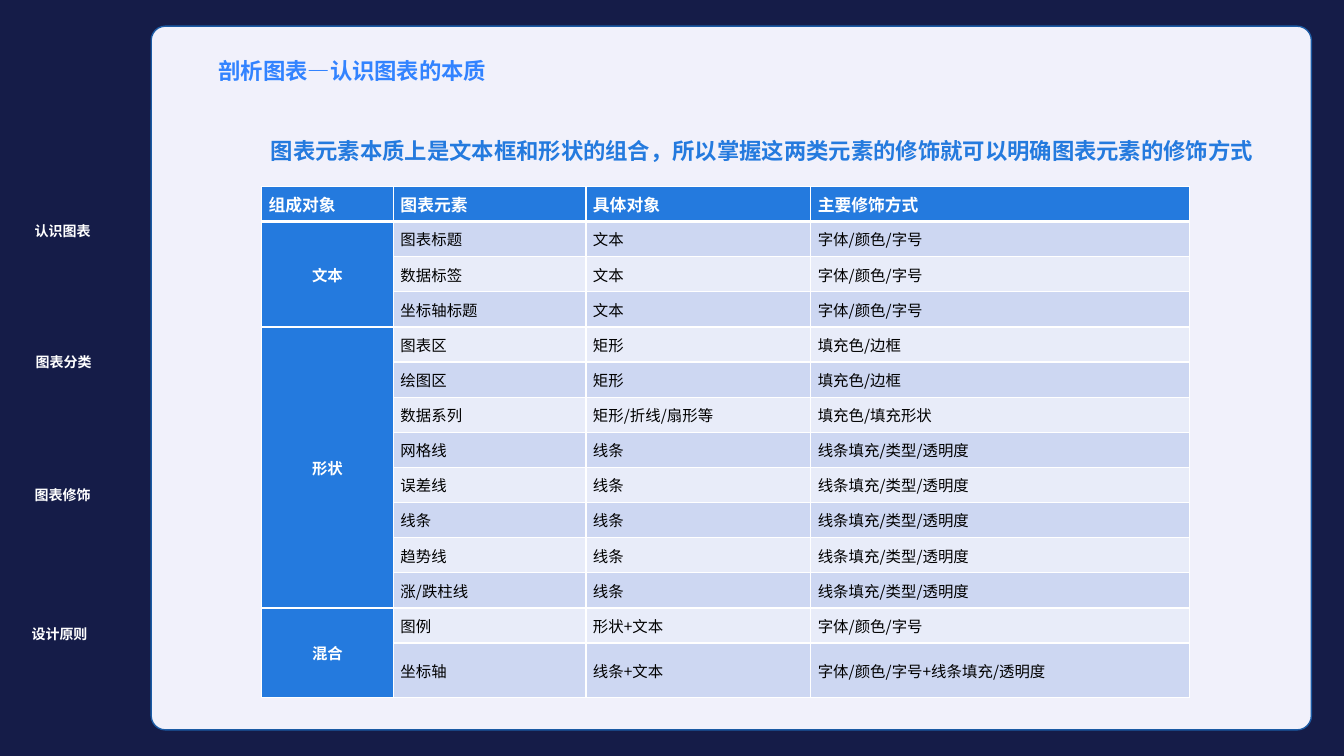
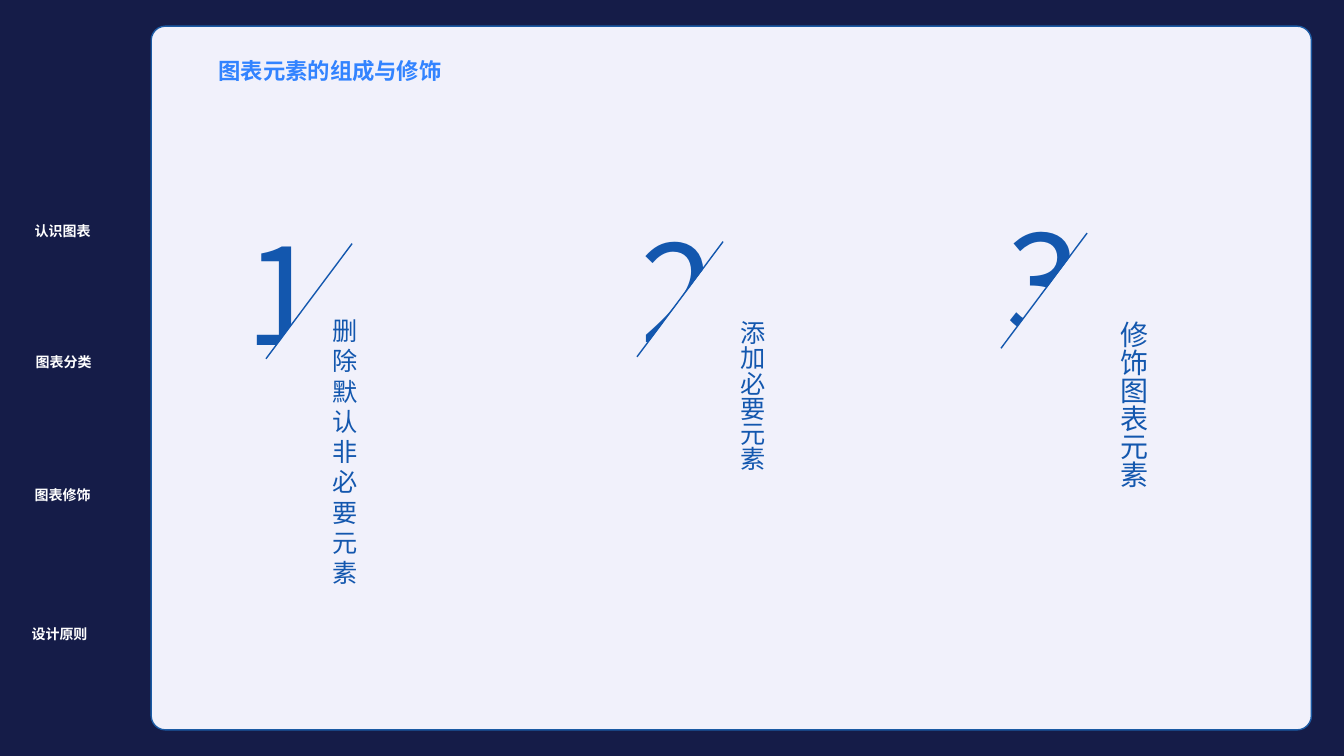
from lxml import etree
from pptx import Presentation
from pptx.dml.color import RGBColor
from pptx.enum.shapes import MSO_CONNECTOR, MSO_SHAPE
from pptx.enum.text import MSO_ANCHOR, MSO_AUTO_SIZE, PP_ALIGN
from pptx.oxml.ns import qn
from pptx.util import Pt

STRAIGHT = MSO_CONNECTOR.STRAIGHT
RECT, ROUND_RECT = MSO_SHAPE.RECTANGLE, MSO_SHAPE.ROUNDED_RECTANGLE
MIDDLE = MSO_ANCHOR.MIDDLE
LEFT, CENTER = PP_ALIGN.LEFT, PP_ALIGN.CENTER
FIT_SHAPE = MSO_AUTO_SIZE.SHAPE_TO_FIT_TEXT

NAVY = RGBColor(0x15, 0x1C, 0x48)
PANEL = RGBColor(0xF1, 0xF1, 0xFB)
PANEL_EDGE = RGBColor(0x1B, 0x5A, 0xA4)
TITLE_BLUE = RGBColor(0x32, 0x83, 0xFF)
TABLE_BLUE = RGBColor(0x24, 0x7A, 0xDE)
STEP_BLUE = RGBColor(0x13, 0x57, 0xAE)
BAND_DARK = RGBColor(0xCD, 0xD7, 0xF2)
BAND_LIGHT = RGBColor(0xE8, 0xEC, 0xF9)
WHITE = RGBColor(0xFF, 0xFF, 0xFF)
BLACK = RGBColor(0, 0, 0)
CJK_FONT = "Noto Sans CJK SC"
TITLE_FONT = "Arial"

# Side labels: text, left, top
NAV = [
    ("认识图表", 16.6, 155.5),
    ("图表分类", 17.3, 249.1),
    ("图表修饰", 16.6, 344.2),
    ("设计原则", 14.4, 443.5),
]

ANATOMY_TITLE = "剖析图表—认识图表的本质"
SUMMARY = "图表元素本质上是文本框和形状的组合，所以掌握这两类元素的修饰就可以明确图表元素的修饰方式"
HEADER = ("组成对象", "图表元素", "具体对象", "主要修饰方式")
TEXT_STYLE = "字体/颜色/字号"
LINE_STYLE = "线条填充/类型/透明度"
GROUPS = [
    ("文本", [
        ("图表标题", "文本", TEXT_STYLE),
        ("数据标签", "文本", TEXT_STYLE),
        ("坐标轴标题", "文本", TEXT_STYLE),
    ]),
    ("形状", [
        ("图表区", "矩形", "填充色/边框"),
        ("绘图区", "矩形", "填充色/边框"),
        ("数据系列", "矩形/折线/扇形等", "填充色/填充形状"),
        ("网格线", "线条", LINE_STYLE),
        ("误差线", "线条", LINE_STYLE),
        ("线条", "线条", LINE_STYLE),
        ("趋势线", "线条", LINE_STYLE),
        ("涨/跌柱线", "线条", LINE_STYLE),
    ]),
    ("混合", [
        ("图例", "形状+文本", TEXT_STYLE),
        ("坐标轴", "线条+文本", "字体/颜色/字号+线条填充/透明度"),
    ]),
]
COL_WIDTHS = (94.3, 137.5, 160.6, 270.7)
ROW_HEIGHT, LAST_ROW_HEIGHT = 25.1, 38.9

STEPS_TITLE = "图表元素的组成与修饰"
# Each step: digit box, mask and slash start as (left, top); caption as a box
STEPS = [
    dict(digit=(132.5, 146.9), mask=(161.3, 213.8), slash=(190, 256.3),
         lines=list("删除默认非必要元素"), caption=(230.4, 221.8, 43.2, 203.8),
         size=18, vertical=False),
    dict(digit=(414, 145.4), mask=(442.1, 191.5), slash=(455, 254.9),
         lines=["添加必要元素"], caption=(515.5, 221.8, 36, 116.6),
         size=18, vertical=True),
    dict(digit=(675.4, 138.2), mask=(701.3, 186.5), slash=(715, 248.8),
         lines=["修饰图表元素"], caption=(786.2, 221.8, 38.9, 128.2),
         size=20, vertical=True),
]
MASK_SIZE = (157, 70.6)
MASK_ANGLE = 307
SLASH_WIDTH, SLASH_HEIGHT = 61.5, 82.3
DIGIT_INDENT = 36


def pts(values):
    return [Pt(v) for v in values]


def style(p, size, color, bold=False, font=CJK_FONT, align=LEFT):
    p.alignment = align
    f = p.font
    f.size, f.bold, f.name = Pt(size), bold, font
    f.color.rgb = color
    ea = etree.SubElement(p._p.pPr.find(qn("a:defRPr")), qn("a:ea"))
    ea.set("typeface", CJK_FONT)


def add_text(s, box, lines, size, color, spacing=None, **font):
    tf = s.shapes.add_textbox(*pts(box)).text_frame
    tf.word_wrap = True
    tf.auto_size = FIT_SHAPE
    for i, line in enumerate(lines):
        p = tf.add_paragraph() if i else tf.paragraphs[0]
        p.text = line
        if spacing:
            p.line_spacing = spacing
        style(p, size, color, **font)
    return tf


def add_box(s, kind, box, fill):
    sp = s.shapes.add_shape(kind, *pts(box))
    sp.shadow.inherit = False
    sp.fill.solid()
    sp.fill.fore_color.rgb = fill
    sp.line.fill.background()
    return sp


def add_base_slide(prs, title):
    """Add a slide with the panel, side labels and title that all slides share."""
    s = prs.slides.add_slide(prs.slide_layouts[6])
    s.background.fill.solid()
    s.background.fill.fore_color.rgb = NAVY
    panel = add_box(s, ROUND_RECT, (108, 18.7, 828.7, 502.6), PANEL)
    panel.adjustments[0] = 0.02
    panel.line.color.rgb = PANEL_EDGE
    panel.line.width = Pt(1)
    for label, left, top in NAV:
        add_text(s, (left, top, 56.2, 19.4), [label], 10, WHITE,
                 bold=True, align=CENTER)
    tf = add_text(s, (149, 28.1, 693.4, 34.6), [title], 16, TITLE_BLUE,
                  spacing=1.5, bold=True, font=TITLE_FONT)
    tf.auto_size = MSO_AUTO_SIZE.NONE
    tf.vertical_anchor = MIDDLE
    return s


def set_borders(cell, bottom):
    tc_pr = cell._tc.get_or_add_tcPr()
    for side, width in (("L", 1), ("R", 1), ("T", 1), ("B", bottom)):
        ln = etree.SubElement(tc_pr, qn(f"a:ln{side}"), w=str(Pt(width)))
        fill = etree.SubElement(ln, qn("a:solidFill"))
        etree.SubElement(fill, qn("a:srgbClr"), val=str(WHITE))


def fill_cell(cell, text, fill, size, color, bottom=1, **font):
    set_borders(cell, bottom)
    cell.fill.solid()
    cell.fill.fore_color.rgb = fill
    cell.margin_left = cell.margin_right = Pt(5)
    cell.margin_top = cell.margin_bottom = 0
    cell.vertical_anchor = MIDDLE
    p = cell.text_frame.paragraphs[0]
    p.text = text
    style(p, size, color, **font)


def add_element_table(s):
    heights = [ROW_HEIGHT] * sum(len(rows) for _, rows in GROUPS)
    heights.append(LAST_ROW_HEIGHT)
    box = (186.8, 133.2, sum(COL_WIDTHS), sum(heights))
    table = s.shapes.add_table(len(heights), len(COL_WIDTHS), *pts(box)).table
    for col, width in zip(table.columns, COL_WIDTHS):
        col.width = Pt(width)
    for row, height in zip(table.rows, heights):
        row.height = Pt(height)
    for c, text in enumerate(HEADER):
        fill_cell(table.cell(0, c), text, TABLE_BLUE, 12, WHITE,
                  bottom=3, bold=True)
    r = 1
    for group, rows in GROUPS:
        first = r
        for row in rows:
            band = BAND_DARK if r % 2 else BAND_LIGHT
            fill_cell(table.cell(r, 0), group if r == first else "",
                      TABLE_BLUE, 11, WHITE, bold=True, align=CENTER)
            for c, text in enumerate(row, 1):
                fill_cell(table.cell(r, c), text, band, 11, BLACK)
            r += 1
        table.cell(first, 0).merge(table.cell(r - 1, 0))


def add_slash(s, left, bottom):
    line = s.shapes.add_connector(
        STRAIGHT, *pts((left, bottom, left + SLASH_WIDTH, bottom - SLASH_HEIGHT)))
    line.line.color.rgb = STEP_BLUE
    line.line.width = Pt(1)
    etree.SubElement(line._element.spPr, qn("a:effectLst"))


def add_step(s, number, step):
    """Draw a digit cut off along a slash, with its caption."""
    tf = add_text(s, (*step["digit"], 90, 123.8), [str(number)], 96, STEP_BLUE)
    tf.margin_left = Pt(DIGIT_INDENT + 7.2)
    add_box(s, RECT, (*step["mask"], *MASK_SIZE), PANEL).rotation = MASK_ANGLE
    add_slash(s, *step["slash"])
    tf = add_text(s, step["caption"], step["lines"], step["size"], STEP_BLUE)
    if step["vertical"]:
        tf.word_wrap = False
        tf._txBody.bodyPr.set("vert", "eaVert")


def main():
    prs = Presentation()
    prs.slide_width, prs.slide_height = Pt(960), Pt(540)

    s = add_base_slide(prs, ANATOMY_TITLE)
    add_element_table(s)
    add_text(s, (186.5, 74.9, 729.4, 40.3), [SUMMARY], 16, TABLE_BLUE,
             spacing=2, bold=True)

    s = add_base_slide(prs, STEPS_TITLE)
    for number, step in enumerate(STEPS, 1):
        add_step(s, number, step)

    prs.save("out.pptx")


if __name__ == "__main__":
    main()
